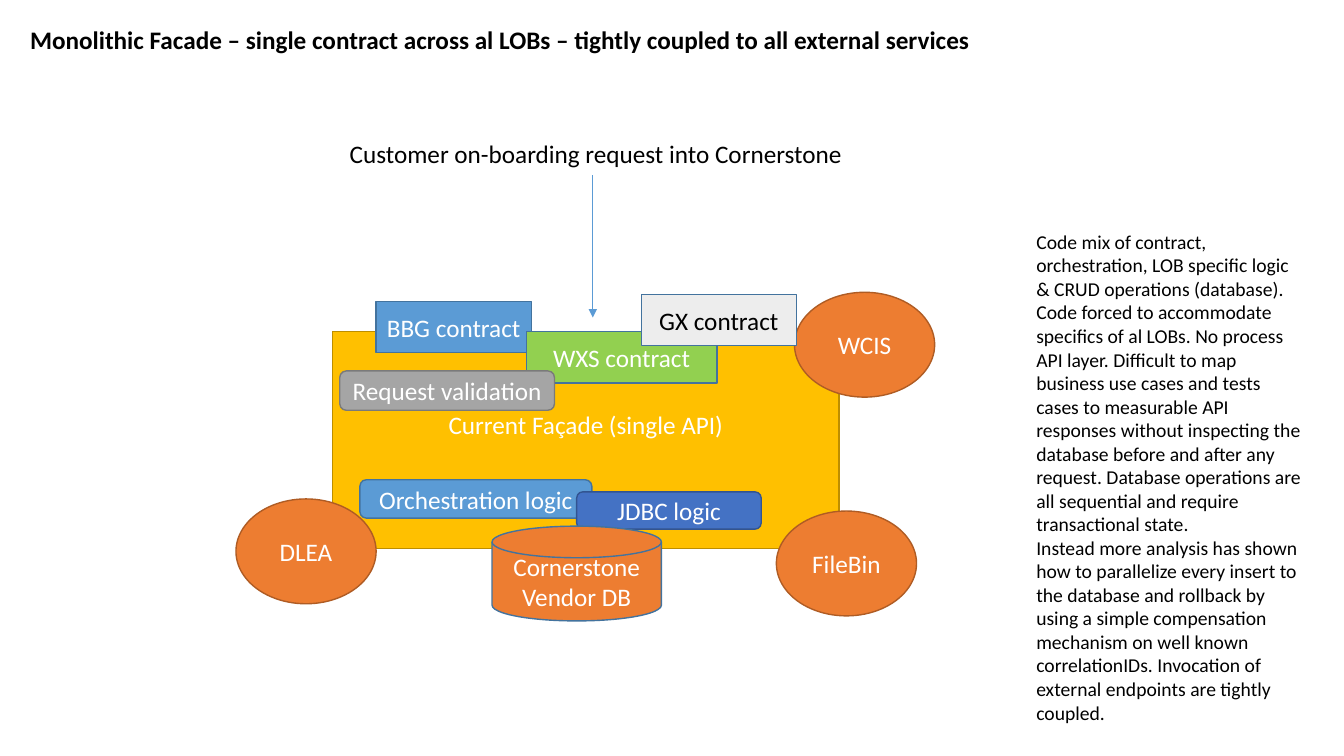
from pptx import Presentation
from pptx.dml.color import RGBColor
from pptx.enum.shapes import MSO_CONNECTOR, MSO_SHAPE
from pptx.enum.text import MSO_ANCHOR, PP_ALIGN
from pptx.oxml.ns import qn
from pptx.util import Inches, Pt
from lxml.etree import SubElement

WHITE = RGBColor(0xFF, 0xFF, 0xFF)
BLACK = RGBColor(0, 0, 0)
GOLD = RGBColor(0xFF, 0xC0, 0x00)
BROWN = RGBColor(0xBD, 0x8E, 0x00)
BLUE = RGBColor(0x5B, 0x9B, 0xD5)
STEEL = RGBColor(0x43, 0x73, 0x9E)
GREEN = RGBColor(0x92, 0xD0, 0x50)
ORANGE = RGBColor(0xED, 0x7D, 0x31)
RUST = RGBColor(0xAF, 0x5C, 0x24)
ROYAL = RGBColor(0x44, 0x72, 0xC4)
NAVY = RGBColor(0x32, 0x54, 0x91)
GRAY = RGBColor(0xA5, 0xA5, 0xA5)
SLATE = RGBColor(0x7A, 0x7A, 0x7A)
PALE = RGBColor(0xED, 0xED, 0xED)

RECT = MSO_SHAPE.RECTANGLE
ROUND = MSO_SHAPE.ROUNDED_RECTANGLE
OVAL = MSO_SHAPE.OVAL
DISK = MSO_SHAPE.FLOWCHART_MAGNETIC_DISK

deck = Presentation()
deck.slide_width = Inches(13.33)
deck.slide_height = Inches(7.5)
slide = deck.slides.add_slide(deck.slide_layouts[6])
shapes = slide.shapes


def write(shape, text, size=18, color=BLACK, bold=False,
          align=PP_ALIGN.LEFT, anchor=MSO_ANCHOR.TOP):
    frame = shape.text_frame
    frame.word_wrap = True
    frame.vertical_anchor = anchor
    frame.text = text
    for para in frame.paragraphs:
        para.alignment = align
        font = para.runs[0].font
        font.name = "Calibri"
        font.size = Pt(size)
        font.bold = bold
        font.color.rgb = color


def block(kind, text, left, top, width, height, fill, edge, color=WHITE):
    shape = shapes.add_shape(kind, Inches(left), Inches(top),
                             Inches(width), Inches(height))
    shape.shadow.inherit = False
    shape.fill.solid()
    shape.fill.fore_color.rgb = fill
    shape.line.color.rgb = edge
    shape.line.width = Pt(1)
    write(shape, text, color=color, align=PP_ALIGN.CENTER,
          anchor=MSO_ANCHOR.MIDDLE)
    return shape


facade = block(RECT, "Current Façade (single API)", 3.3, 3.29, 5.02, 2.15, GOLD, BROWN)
facade.text_frame.margin_bottom = Inches(0.35)

block(RECT, "BBG contract", 3.73, 2.99, 1.54, 0.51, BLUE, STEEL)
block(RECT, "WXS contract", 5.22, 3.29, 1.89, 0.51, GREEN, STEEL)

for name, left, top in [("DLEA", 2.34, 4.95), ("FileBin", 7.7, 5.07),
                        ("WCIS", 7.88, 2.9)]:
    block(OVAL, name, left, top, 1.39, 1.04, ORANGE, RUST)

block(ROUND, "Orchestration logic", 3.57, 4.76, 2.3, 0.38, BLUE, STEEL)
block(ROUND, "JDBC logic", 5.72, 4.88, 1.83, 0.37, ROYAL, NAVY)
block(ROUND, "Request validation", 3.37, 3.68, 2.13, 0.39, GRAY, SLATE)
block(DISK, "Cornerstone Vendor DB", 4.88, 5.22, 1.68, 0.94, ORANGE, STEEL)
block(RECT, "GX contract", 6.36, 2.92, 1.54, 0.51, PALE, STEEL, color=BLACK)

arrow = shapes.add_connector(MSO_CONNECTOR.STRAIGHT, Inches(5.88), Inches(1.74),
                             Inches(5.88), Inches(3.15))
arrow.line.color.rgb = BLUE
arrow.line.width = Pt(0.5)
props = arrow._element.spPr
SubElement(props.find(qn("a:ln")), qn("a:tailEnd"), type="triangle")
SubElement(props, qn("a:effectLst"))

title = "Monolithic Facade – single contract across al LOBs – tightly coupled to all external services"
request = "Customer on-boarding request into Cornerstone"
notes = (
    "Code mix of contract, orchestration, LOB specific logic & CRUD operations "
    "(database). Code forced to accommodate specifics of al LOBs. No process API "
    "layer. Difficult to map business use cases and tests cases to measurable API "
    "responses without inspecting the database before and after any request. "
    "Database operations are all sequential and require transactional state.\n"
    "Instead more analysis has shown how to parallelize every insert to the "
    "database and rollback by using a simple compensation mechanism on well known "
    "correlationIDs. Invocation of external endpoints are tightly coupled."
)
for text, left, top, width, height, size, bold in [
    (title, 0.2, 0.19, 9.9, 0.4, 18, True),
    (request, 3.37, 1.32, 5.23, 0.4, 18, False),
    (notes, 10.18, 2.23, 2.83, 5.05, 14, False),
]:
    box = shapes.add_textbox(Inches(left), Inches(top), Inches(width), Inches(height))
    write(box, text, size=size, bold=bold)

deck.save("out.pptx")
